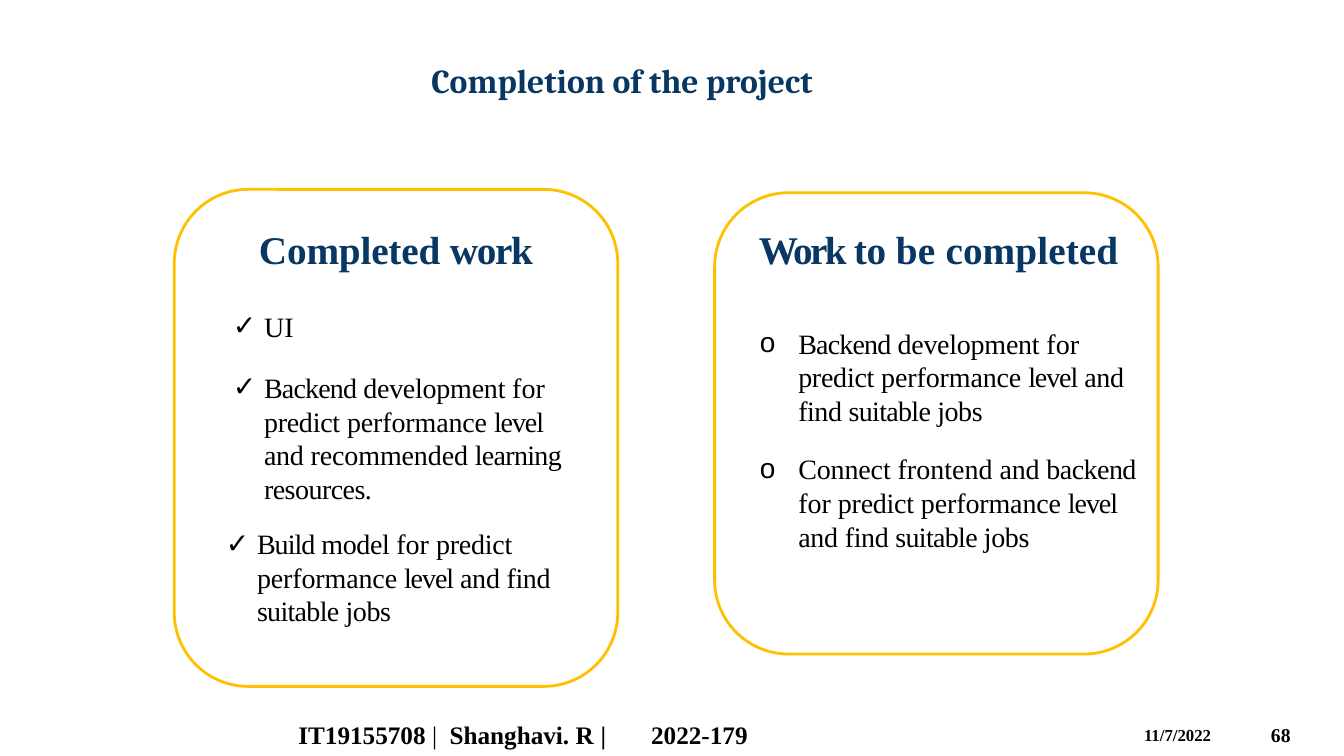
"""Build the slide on completed and remaining project work."""
from itertools import groupby

from lxml import etree
from pptx import Presentation
from pptx.dml.color import RGBColor
from pptx.enum.shapes import MSO_SHAPE
from pptx.enum.text import MSO_ANCHOR, MSO_AUTO_SIZE, PP_ALIGN
from pptx.oxml.ns import qn
from pptx.util import Pt

ROUNDED = MSO_SHAPE.ROUNDED_RECTANGLE
TOP = MSO_ANCHOR.TOP
NO_FIT = MSO_AUTO_SIZE.NONE
LEFT = PP_ALIGN.LEFT

COLOURS = {"navy": "073762", "gold": "FFC000", "black": "000000"}
SERIF = "Times New Roman"
LEADING = 1.2
TRACKING = {
    "Completed": -0.1, "work": -1, "Work": -1.9, "to": -0.1, "be": 0.2,
    "completed": 0.1, "Backend": -0.6, "development": -0.2, "predict": -0.2,
    "performance": -0.1, "level": -0.8, "and": -0.2, "recommended": -0.1,
    "learning": -0.5, "resources.": -0.4, "Build": -0.7, "model": -0.3,
    "find": -0.3, "suitable": -0.5, "jobs": -0.3, "Connect": -0.1,
    "backend": -0.4,
}


def prepare_frame(holder, left, top, width, height, inset=0):
    """Place a text holder and clear its margins."""
    holder.left, holder.top = Pt(left), Pt(top)
    holder.width, holder.height = Pt(width), Pt(height)
    frame = holder.text_frame
    frame.word_wrap = True
    frame.auto_size = NO_FIT
    frame.vertical_anchor = TOP
    frame.margin_left = frame.margin_right = frame.margin_bottom = 0
    frame.margin_top = Pt(inset)
    return frame


def style_paragraph(paragraph, size, colour, bold, before=0, indent=0, hang=0,
                    bullet=None, tabs=(), font=SERIF, leading=LEADING):
    """Set indents, bullet, tabs, spacing and font of a paragraph."""
    properties = paragraph._p.get_or_add_pPr()
    properties.set("marL", str(Pt(indent)))
    properties.set("indent", str(-Pt(hang)))
    if bullet:
        etree.SubElement(properties, qn("a:buChar")).set("char", bullet)
    else:
        etree.SubElement(properties, qn("a:buNone"))
    if tabs:
        tab_list = etree.SubElement(properties, qn("a:tabLst"))
        for stop in tabs:
            tab = etree.SubElement(tab_list, qn("a:tab"))
            tab.set("pos", str(Pt(stop)))
            tab.set("algn", "l")
    paragraph.alignment = LEFT
    paragraph.space_before = Pt(before)
    paragraph.line_spacing = Pt(size * leading) if leading else 1.0
    paragraph.font.name = font
    paragraph.font.size = Pt(size)
    paragraph.font.bold = bold
    paragraph.font.color.rgb = RGBColor.from_string(COLOURS[colour])


deck = Presentation()
deck.slide_width, deck.slide_height = Pt(960), Pt(540)
slide = deck.slides.add_slide(deck.slide_layouts.get_by_name("Two Content"))

heading = prepare_frame(slide.shapes.title, 308.2, 41, 317, 31, inset=1.7)
heading.text = "Completion of the project"
style_paragraph(heading.paragraphs[0], 24, "navy", True, font="Cambria", leading=None)

COLUMNS = [
    {
        "card": (124.5, 135.3, 316.8, 355),
        "list": (159.8, 159.8, 246, 289),
        "heading": "Completed work", "heading_indent": 25.2,
        "bullet": "✓", "hang": 22.3,
        "items": [
            ("UI", 26.1, 28.8),
            ("Backend development for predict performance level "
             "and recommended learning resources.", 19.6, 28.8),
            ("Build model for predict performance level and find "
             "suitable jobs", 15.6, 23.8),
        ],
    },
    {
        "card": (510.5, 137.7, 316.8, 329.5),
        "list": (541.4, 159.8, 276, 234),
        "heading": "Work to be completed", "heading_indent": 0.7,
        "bullet": "o", "hang": 27.4,
        "items": [
            ("Backend development for predict performance level and "
             "find suitable jobs", 38, 28.8),
            ("Connect frontend and backend for predict performance "
             "level and find suitable jobs", 17.9, 28.8),
        ],
    },
]

for index, column in enumerate(COLUMNS, start=1):
    card = slide.shapes.add_shape(ROUNDED, *(Pt(length) for length in column["card"]))
    card.shadow.inherit = False
    card.fill.background()
    card.line.color.rgb = RGBColor.from_string(COLOURS["gold"])
    card.line.width = Pt(2)

    work = prepare_frame(slide.placeholders[index], *column["list"], inset=1.5)
    lines = [(column["heading"], 0, column["heading_indent"])] + column["items"]
    for row, (text, before, indent) in enumerate(lines):
        if row:
            entry = work.add_paragraph()
            style_paragraph(entry, 20, "black", False, before, indent,
                            column["hang"], column["bullet"], (indent,))
        else:
            entry = work.paragraphs[0]
            style_paragraph(entry, 28, "navy", True, before, indent)
        words = text.split()
        spaced = [word + " " for word in words[:-1]] + words[-1:]
        for tracking, group in groupby(spaced, lambda word: TRACKING.get(word.strip(), 0)):
            run = entry.add_run()
            run.text = "".join(group)
            run._r.get_or_add_rPr().set("spc", str(round(tracking * 100)))

FOOTERS = [
    ("IT19155708 |\tShanghavi. R\t|\t2022-179", 18, (212.4, 514.1, 334, 23), 0.7, (108, 219.8, 252.5)),
    ("68", 14, (905, 516.2, 22.5, 19), 2.9, ()),
    ("11/7/2022", 12, (816.5, 517.7, 64, 16), 0.7, ()),
]

for text, size, place, indent, tabs in FOOTERS:
    box = slide.shapes.add_textbox(0, 0, 0, 0)
    footer = prepare_frame(box, *place).paragraphs[0]
    style_paragraph(footer, size, "black", True, indent=indent, tabs=tabs)
    before_bar, bar, after_bar = text.partition("|")
    for part in filter(None, (before_bar, bar, after_bar)):
        run = footer.add_run()
        run.text = part
        if part == "|":
            run.font.bold = False

deck.save("out.pptx")
